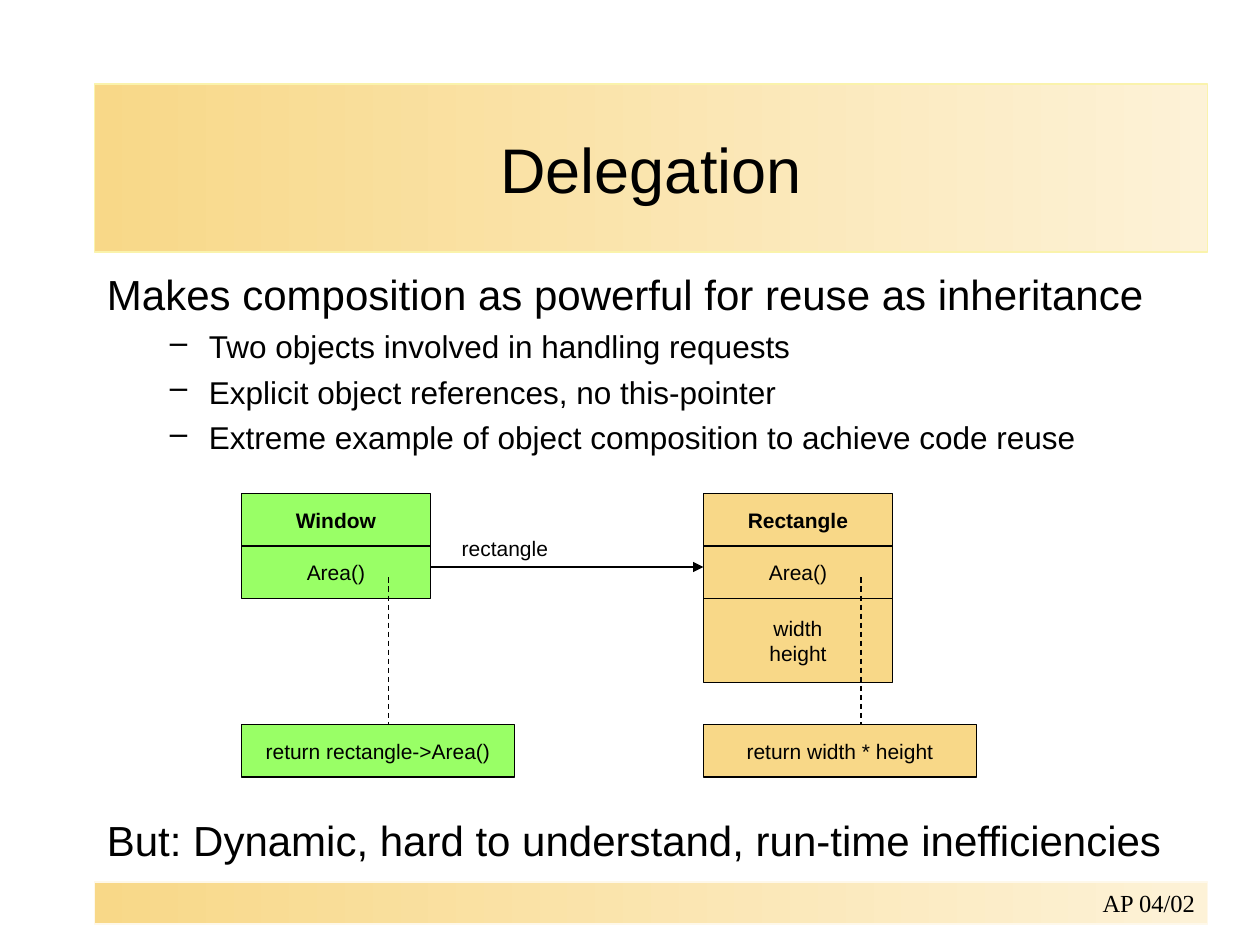
from pptx import Presentation
from pptx.dml.color import RGBColor
from pptx.enum.dml import MSO_LINE
from pptx.enum.shapes import MSO_CONNECTOR, MSO_SHAPE
from pptx.enum.text import MSO_ANCHOR, PP_ALIGN
from pptx.oxml.ns import qn
from pptx.util import Inches, Pt

RECTANGLE = MSO_SHAPE.RECTANGLE
NOTE = MSO_SHAPE.FOLDED_CORNER
STRAIGHT = MSO_CONNECTOR.STRAIGHT
DASH = MSO_LINE.DASH
LEFT, CENTER, RIGHT = PP_ALIGN.LEFT, PP_ALIGN.CENTER, PP_ALIGN.RIGHT
TOP, MIDDLE = MSO_ANCHOR.TOP, MSO_ANCHOR.MIDDLE

UNITS_PER_INCH = 12
MARGIN, CONTENT_WIDTH = 9, 106
CLASS_WIDTH, ROW, NOTE_WIDTH = 18, 5, 26
CLASS_TOP, NOTE_TOP = 47, 69
WINDOW_LEFT, RECTANGLE_LEFT = 23, 67
BLACK, GREEN, GOLD, CREAM = "000000", "99FF66", "F8D888", "FDF2D7"


def color(value):
    return RGBColor.from_string(value)


def grid(*units):
    return [Inches(unit / UNITS_PER_INCH) for unit in units]


def add_element(parent, tag, **attributes):
    element = parent.makeelement(qn(tag), attributes)
    parent.append(element)
    return element


def add_text(para, text, size, font="Arial", bold=False, align=LEFT):
    para.alignment = align
    span = para.add_run()
    span.text = text
    span.font.name = font
    span.font.size = Pt(size)
    span.font.bold = bold
    span.font.color.rgb = color(BLACK)


def fill_frame(frame, lines, size, anchor=MIDDLE, **style):
    frame.word_wrap = True
    frame.vertical_anchor = anchor
    for index, line in enumerate(lines):
        para = frame.add_paragraph() if index else frame.paragraphs[0]
        add_text(para, line, size, **style)


def add_box(slide, kind, place, border):
    box = slide.shapes.add_shape(kind, *grid(*place))
    box.shadow.inherit = False
    box.line.color.rgb = color(border)
    box.line.width = Pt(0.75)
    return box


def add_band(slide, top, height, border, text, size, **style):
    band = add_box(slide, RECTANGLE, (MARGIN, top, CONTENT_WIDTH, height), border)
    band.fill.gradient()
    band.fill.gradient_angle = 0
    for stop, shade in zip(band.fill.gradient_stops, (GOLD, CREAM)):
        stop.color.rgb = color(shade)
    fill_frame(band.text_frame, [text], size, **style)


def flatten_corner(note):
    for guides in note._element.iter(qn("a:avLst")):
        for guide in list(guides):
            guides.remove(guide)
        add_element(guides, "a:gd", name="adj", fmla="val 0")


def add_cell(slide, place, shade, lines, kind=RECTANGLE, bold=False):
    cell = add_box(slide, kind, place, BLACK)
    if kind == NOTE:
        flatten_corner(cell)
    cell.fill.solid()
    cell.fill.fore_color.rgb = color(shade)
    fill_frame(cell.text_frame, lines, 12, bold=bold, align=CENTER)


def add_class(slide, left, shade, name, method_body, fields=()):
    add_cell(slide, (left, CLASS_TOP, CLASS_WIDTH, ROW), shade, [name], bold=True)
    add_cell(slide, (left, CLASS_TOP + ROW, CLASS_WIDTH, ROW), shade, ["Area()"])
    if fields:
        add_cell(slide, (left, CLASS_TOP + 2 * ROW, CLASS_WIDTH, 8), shade, fields)
    add_cell(slide, (left, NOTE_TOP, NOTE_WIDTH, ROW), shade, [method_body], NOTE)


def add_label(slide, place, lines, size):
    label = slide.shapes.add_textbox(*grid(*place))
    fill_frame(label.text_frame, lines, size, TOP)
    return label


def add_line(slide, start, end, dashed=False, arrow=False):
    line = slide.shapes.add_connector(STRAIGHT, *grid(*start, *end))
    line.line.color.rgb = color(BLACK)
    line.line.width = Pt(0.75)
    if dashed:
        line.line.dash_style = DASH
    properties = line._element.spPr
    if arrow:
        add_element(properties.find(qn("a:ln")), "a:tailEnd", type="triangle")
    add_element(properties, "a:effectLst")


def add_bullet(frame, text):
    para = frame.add_paragraph()
    para.space_before = Pt(4.5)
    add_text(para, text, 18)
    properties = para._p.get_or_add_pPr()
    properties.set("lvl", "1")
    properties.set("marL", str(Inches(0.81)))
    properties.set("indent", str(Inches(-0.31)))
    tint = add_element(properties, "a:buClr")
    add_element(tint, "a:srgbClr", val=BLACK)
    add_element(properties, "a:buChar", char="–")


def add_body(slide):
    heading = "Makes composition as powerful for reuse as inheritance"
    body = add_label(slide, (MARGIN, 25, CONTENT_WIDTH, 19), [heading], 24)
    body.text_frame.paragraphs[0].space_before = Pt(6)
    for text in (
        "Two objects involved in handling requests",
        "Explicit object references, no this-pointer",
        "Extreme example of object composition to achieve code reuse",
    ):
        add_bullet(body.text_frame, text)


def add_diagram(slide):
    add_class(slide, WINDOW_LEFT, GREEN, "Window", "return rectangle->Area()")
    add_class(slide, RECTANGLE_LEFT, GOLD, "Rectangle", "return width * height",
              ["width", "height"])
    add_line(slide, (WINDOW_LEFT + CLASS_WIDTH, 54), (RECTANGLE_LEFT, 54), arrow=True)
    add_label(slide, (42.8, 50.4, 11, 3.6), ["rectangle"], 12)
    for column in (37, 82):
        add_line(slide, (column, 55), (column, NOTE_TOP), dashed=True)


def main():
    deck = Presentation()
    deck.slide_width, deck.slide_height = Inches(10), Inches(7.5)
    slide = deck.slides.add_slide(deck.slide_layouts[6])
    add_band(slide, 84, 4, "FEF8EA", "AP 04/02", 14,
             font="Times New Roman", align=RIGHT)
    add_band(slide, 8, 16, "FAF3AC", "Delegation", 36, align=CENTER)
    add_body(slide)
    add_diagram(slide)
    conclusion = "But: Dynamic, hard to understand, run-time inefficiencies"
    add_label(slide, (MARGIN, 77, CONTENT_WIDTH, 6), [conclusion], 24)
    deck.save("out.pptx")


if __name__ == "__main__":
    main()
